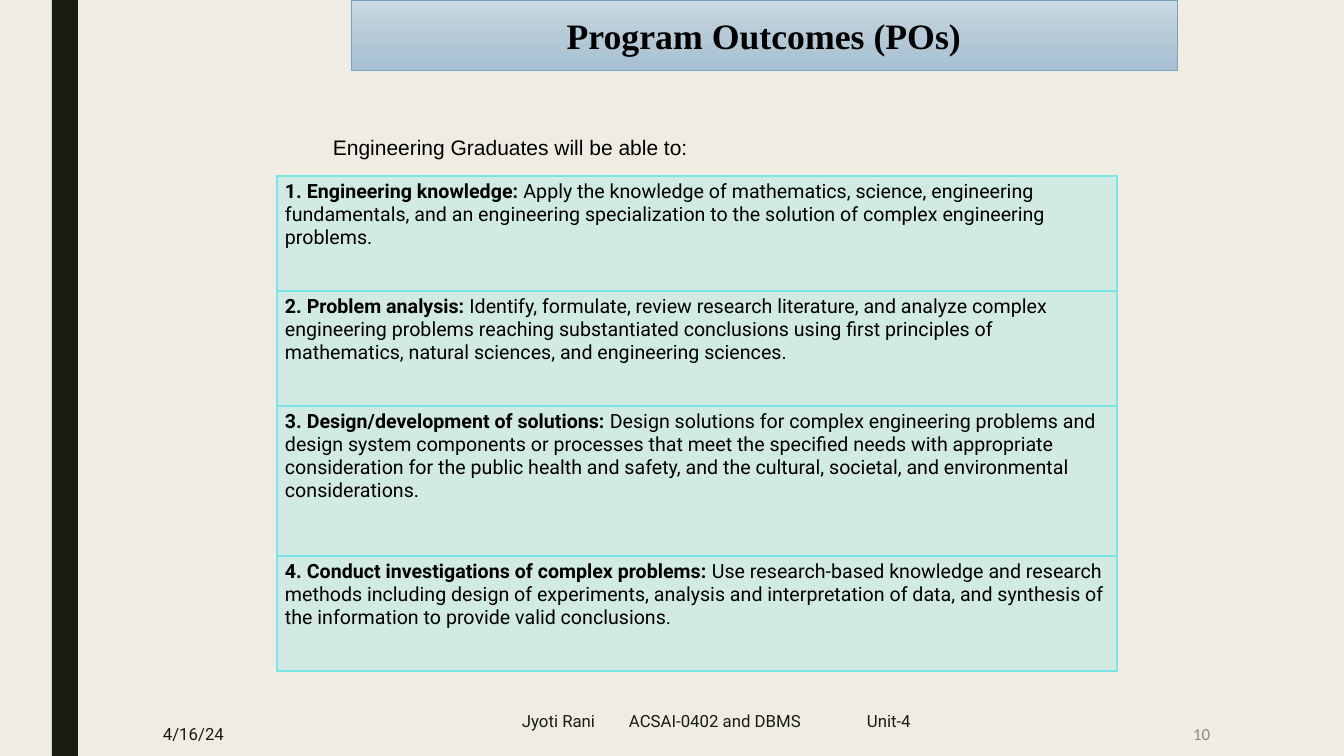
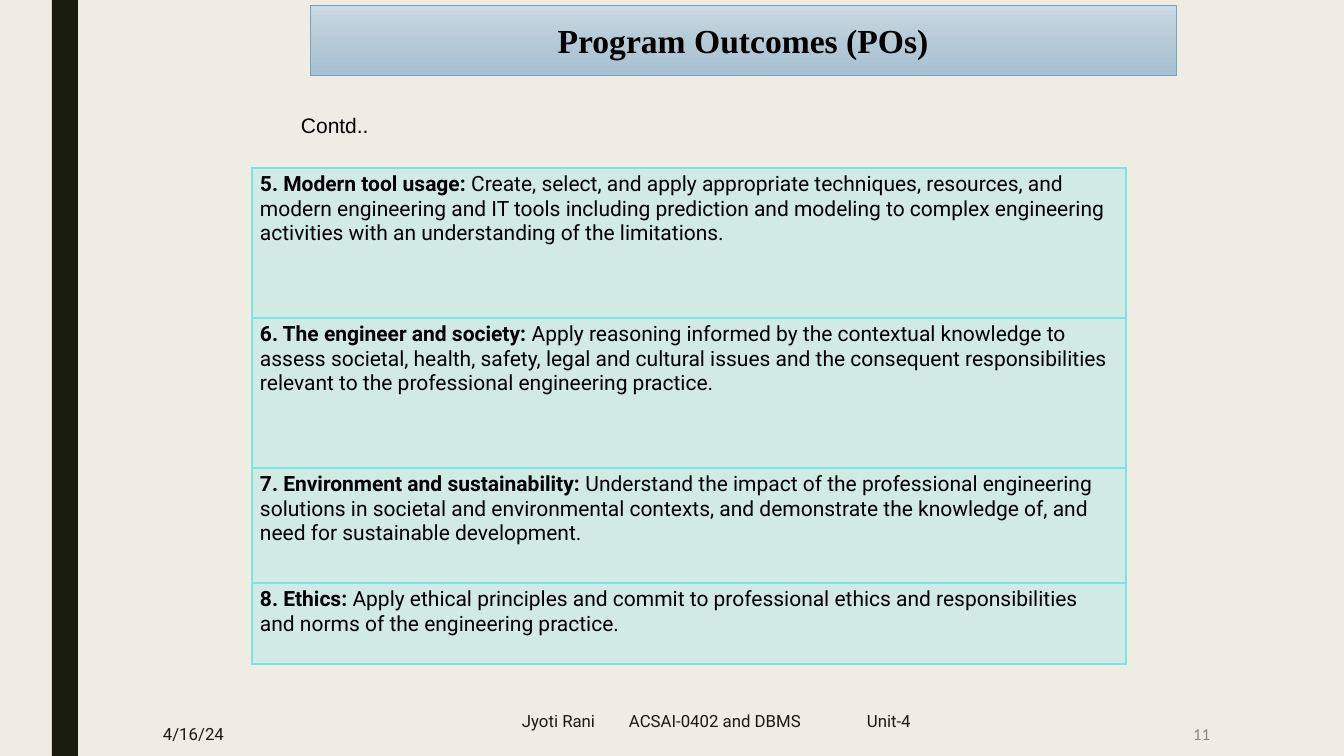
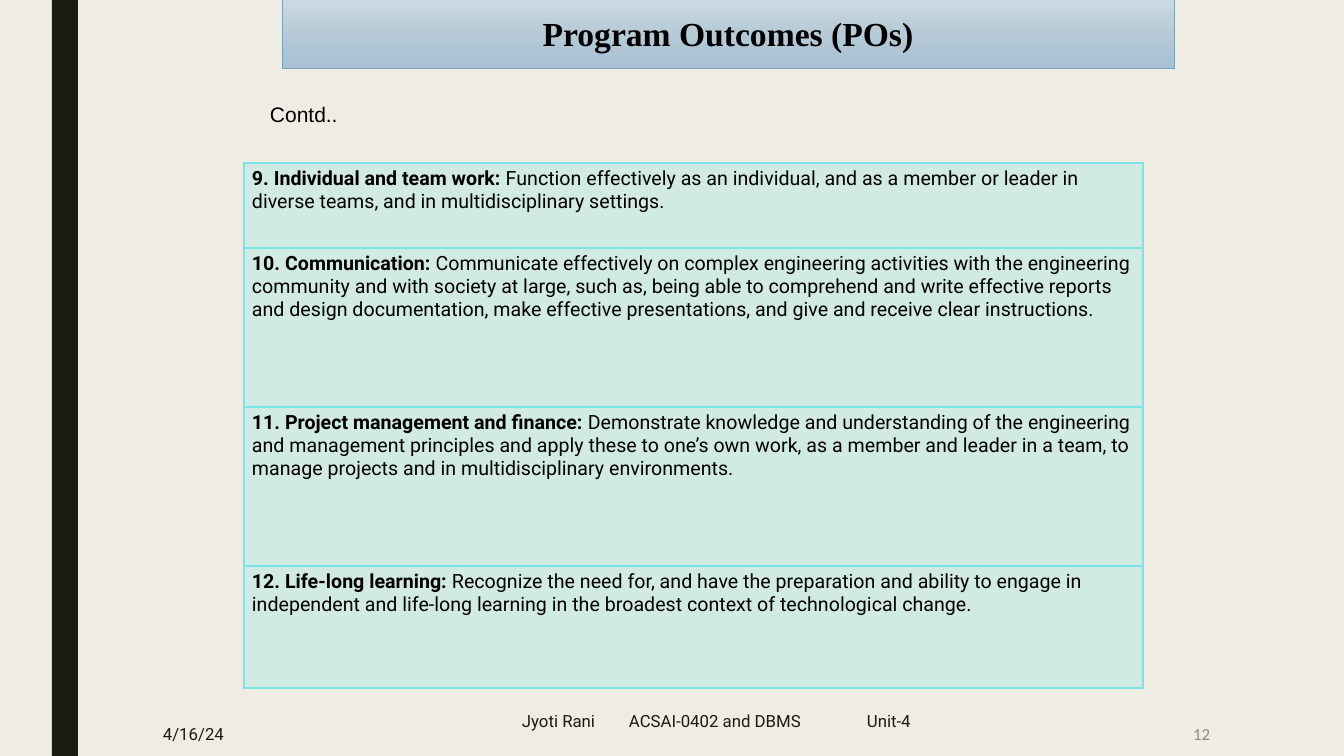
"""Build the three Program Outcomes slides."""
import pptx
import pptx.dml.color
import pptx.enum.shapes
import pptx.enum.text
import pptx.oxml
import pptx.oxml.ns
import pptx.util
import copy

PX = 12192000 / 1344
ALIGN = pptx.enum.text.PP_ALIGN
ANCHOR = pptx.enum.text.MSO_ANCHOR
AUTO = pptx.enum.text.MSO_AUTO_SIZE
NS = pptx.oxml.ns.nsdecls("a")
qn = pptx.oxml.ns.qn


def px(n):
    return pptx.util.Emu(round(n * PX))


def rgb(value):
    return pptx.dml.color.RGBColor.from_string(value)


class Deck:
    PAPER, INK, BLACK, GREY = "EFEDE3", "191B0E", "000000", "898989"
    AQUA, EDGE = "7BE5E5", "77A2BB"
    GRADIENT = ((0, "CCDAE3"), (0.5, "B6CAD7"), (1, "A7C1D2"))
    FOOTER = ("Jyoti Rani", "ACSAI-0402 and DBMS", "Unit-4")
    FOOTER_TABS = (107, 345)

    def __init__(self):
        self.prs = pptx.Presentation()
        self.prs.slide_width, self.prs.slide_height = px(1344), px(756)
        fill = self.prs.slide_master.background.fill
        fill.solid()
        fill.fore_color.rgb = rgb(self.PAPER)
        self.s = None

    def slide(self, number):
        first = self.s is None
        self.s = self.prs.slides.add_slide(self.prs.slide_layouts[5])
        if first:
            self.master_band()
        self.text("4/16/24", 153, 712, 133, 44, 12, "Roboto", self.INK)
        p = self.text("\t".join(self.FOOTER), 512, 701, 450, 40, 12, "Roboto", self.INK)
        stops = "".join(f'<a:tab pos="{px(x)}" algn="l"/>' for x in self.FOOTER_TABS)
        tabs = pptx.oxml.parse_xml(f"<a:tabLst {NS}>{stops}</a:tabLst>")
        p._p.get_or_add_pPr().insert(0, tabs)
        p = self.text(str(number), 1044, 712, 176, 44, 12, "Calibri", self.GREY)
        p.alignment = ALIGN.RIGHT

    def master_band(self):
        kind = pptx.enum.shapes.MSO_SHAPE.RECTANGLE
        sp = self.s.shapes.add_shape(kind, px(52), 0, px(26), px(756))
        sp.shadow.inherit = False
        sp.fill.solid()
        sp.fill.fore_color.rgb = rgb(self.INK)
        sp.line.fill.background()
        sp._element.nvSpPr.cNvPr.set("id", "20")
        self.prs.slide_master.shapes._spTree.insert(2, sp._element)

    def font(self, p, size, name, color, bold=False):
        p.font.size, p.font.name, p.font.bold = pptx.util.Pt(size), name, bold
        p.font.color.rgb = rgb(color)

    def text(self, text, x, y, w, h, size, name, color):
        tf = self.s.shapes.add_textbox(px(x), px(y), px(w), px(h)).text_frame
        tf.word_wrap = True
        tf.vertical_anchor = ANCHOR.MIDDLE
        p = tf.paragraphs[0]
        p.text = text
        self.font(p, size, name, color)
        return p

    def caption(self, text, x, y, w):
        sp = self.s.shapes.add_textbox(px(x), px(y), px(w), px(35))
        tf = sp.text_frame
        tf.word_wrap = False
        tf.auto_size = AUTO.SHAPE_TO_FIT_TEXT
        p = tf.paragraphs[0]
        p.text = text
        self.font(p, 15, "Arial", self.BLACK)

    def title(self, x, y, w, size):
        sp = self.s.shapes.title
        sp.left, sp.top, sp.width, sp.height = px(x), px(y), px(w), px(70)
        sp.fill.gradient()
        stops = sp._element.spPr.find(".//" + qn("a:gsLst"))
        stops.append(copy.deepcopy(stops[-1]))
        for stop, (position, color) in zip(sp.fill.gradient_stops, self.GRADIENT):
            stop.position, stop.color.rgb = position, rgb(color)
        sp.fill.gradient_angle = 270
        sp.line.color.rgb = rgb(self.EDGE)
        sp.line.width = pptx.util.Pt(0.5)
        tf = sp.text_frame
        tf.auto_size = AUTO.NONE
        tf.vertical_anchor = ANCHOR.MIDDLE
        p = tf.paragraphs[0]
        p.text = "Program Outcomes (POs)"
        p.alignment = ALIGN.CENTER
        self.font(p, size, "Times New Roman", self.BLACK, True)

    def table(self, x, y, w, heights, size, outcomes):
        frame = self.s.shapes.add_table(len(heights), 1, px(x), px(y), px(w), px(sum(heights)))
        table = frame.table
        table.first_row = table.horz_banding = False
        for row, height, (head, body) in zip(table.rows, heights, outcomes):
            row.height = px(height)
            self.cell(row.cells[0], size, head, body)

    def cell(self, cell, size, head, body):
        cell.margin_left = cell.margin_right = px(8)
        cell.margin_top = cell.margin_bottom = px(4)
        p = cell.text_frame.paragraphs[0]
        self.font(p, size, "Roboto", self.BLACK)
        for text, bold in ((head + " ", True), (body, False)):
            r = p.add_run()
            r.text, r.font.bold = text, bold
        cell.fill.solid()
        cell.fill.fore_color.rgb = rgb(self.AQUA)
        tcPr = cell._tc.get_or_add_tcPr()
        alpha = pptx.oxml.parse_xml(f'<a:alpha {NS} val="25000"/>')
        tcPr.find(".//" + qn("a:srgbClr")).append(alpha)
        for i, side in enumerate("LRTB"):
            tcPr.insert(i, pptx.oxml.parse_xml(
                f'<a:ln{side} {NS} w="{pptx.util.Pt(2.25)}"><a:solidFill>'
                f'<a:srgbClr val="{self.AQUA}"/></a:solidFill></a:ln{side}>'))


SLIDES = (
    dict(
        title=(351, 0, 826, 25.5),
        caption=("Engineering Graduates will be able to:", 323, 130, 379),
        table=(277, 176, 840, (115, 115, 150, 115), 14),
        outcomes=(
            ("1. Engineering knowledge:",
             "Apply the knowledge of mathematics, science, engineering fundamentals, and an "
             "engineering specialization to the solution of complex engineering problems."),
            ("2. Problem analysis:",
             "Identify, formulate, review research literature, and analyze complex engineering "
             "problems reaching substantiated conclusions using first principles of "
             "mathematics, natural sciences, and engineering sciences."),
            ("3. Design/development of solutions:",
             "Design solutions for complex engineering problems and design system components "
             "or processes that meet the specified needs with appropriate consideration for "
             "the public health and safety, and the cultural, societal, and environmental "
             "considerations."),
            ("4. Conduct investigations of complex problems:",
             "Use research-based knowledge and research methods including design of "
             "experiments, analysis and interpretation of data, and synthesis of the "
             "information to provide valid conclusions."),
        ),
    ),
    dict(
        title=(310, 5, 866, 24),
        caption=("Contd..", 291, 108, 89),
        table=(252, 168, 874, (150, 150, 115, 81), 15),
        outcomes=(
            ("5. Modern tool usage:",
             "Create, select, and apply appropriate techniques, resources, and modern "
             "engineering and IT tools including prediction and modeling to complex "
             "engineering activities with an understanding of the limitations."),
            ("6. The engineer and society:",
             "Apply reasoning informed by the contextual knowledge to assess societal, health, "
             "safety, legal and cultural issues and the consequent responsibilities relevant "
             "to the professional engineering practice."),
            ("7. Environment and sustainability:",
             "Understand the impact of the professional engineering solutions in societal and "
             "environmental contexts, and demonstrate the knowledge of, and need for "
             "sustainable development."),
            ("8. Ethics:",
             "Apply ethical principles and commit to professional ethics and responsibilities "
             "and norms of the engineering practice."),
        ),
    ),
    dict(
        title=(282, -2, 892, 24),
        caption=("Contd..", 260, 97, 89),
        table=(244, 163, 899, (85, 159, 159, 122), 14),
        outcomes=(
            ("9. Individual and team work:",
             "Function effectively as an individual, and as a member or leader in diverse "
             "teams, and in multidisciplinary settings."),
            ("10. Communication:",
             "Communicate effectively on complex engineering activities with the engineering "
             "community and with society at large, such as, being able to comprehend and write "
             "effective reports and design documentation, make effective presentations, and "
             "give and receive clear instructions."),
            ("11. Project management and finance:",
             "Demonstrate knowledge and understanding of the engineering and management "
             "principles and apply these to one’s own work, as a member and leader in a team, "
             "to manage projects and in multidisciplinary environments."),
            ("12. Life-long learning:",
             "Recognize the need for, and have the preparation and ability to engage in "
             "independent and life-long learning in the broadest context of technological "
             "change."),
        ),
    ),
)


def main():
    deck = Deck()
    for number, content in enumerate(SLIDES, 10):
        deck.slide(number)
        deck.title(*content["title"])
        deck.caption(*content["caption"])
        deck.table(*content["table"], content["outcomes"])
    deck.prs.save("out.pptx")


if __name__ == "__main__":
    main()
